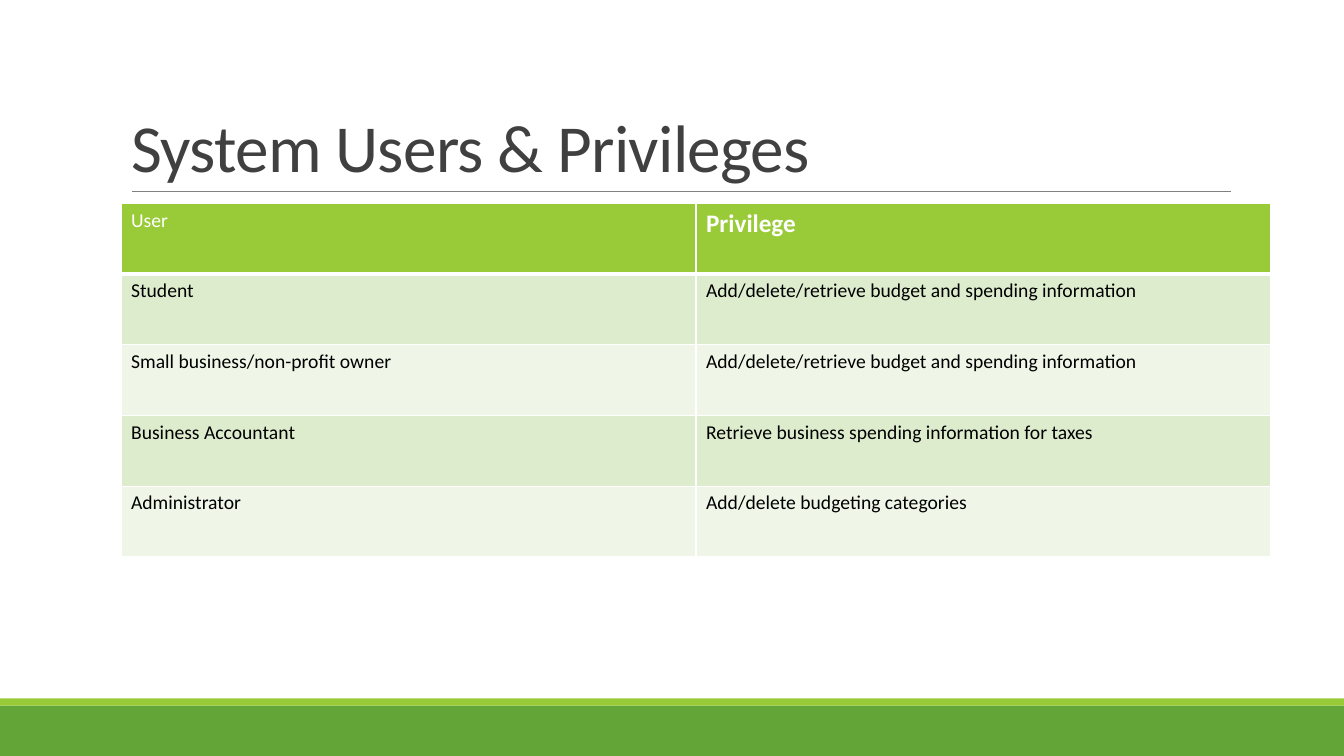
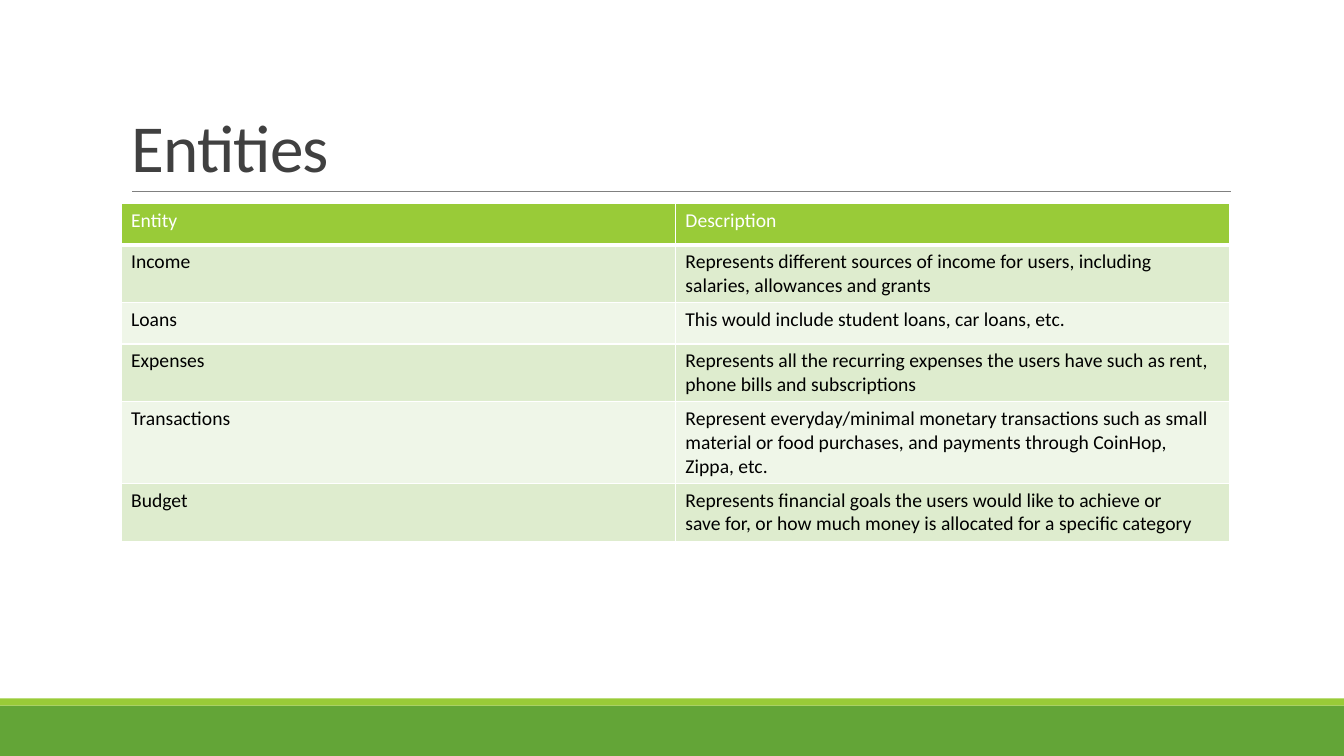
import pptx
import pptx.dml.color
import pptx.enum.shapes
import pptx.enum.text
import pptx.oxml
import pptx.oxml.ns
import pptx.util

Cm = pptx.util.Cm
Pt = pptx.util.Pt
RGBColor = pptx.dml.color.RGBColor

GREEN = RGBColor(0x63, 0xA5, 0x37)
LIME = RGBColor(0x99, 0xCB, 0x38)
BAND_DARK = RGBColor(0xDE, 0xEC, 0xCE)
BAND_LIGHT = RGBColor(0xEF, 0xF6, 0xE8)
WHITE = RGBColor(0xFF, 0xFF, 0xFF)
BLACK = RGBColor(0x00, 0x00, 0x00)
GREY = RGBColor(0x80, 0x80, 0x80)
TITLE_GREY = RGBColor(0x40, 0x40, 0x40)

FONT = "Calibri"
SLIDE_WIDTH, SLIDE_HEIGHT = Cm(33.87), Cm(19.05)
LEFT = Cm(3.05)
TITLE_BOX = {"left": LEFT, "top": Cm(0.79), "width": Cm(27.94), "height": Cm(4.04)}
TITLE_FONT = {"name": FONT, "size": Pt(48), "bold": False}
BODY_FONT = {"name": FONT, "size": Pt(14), "bold": False}
EMPHASIS_FONT = {"size": Pt(18), "bold": True}
FOOTER_BANDS = [(Cm(17.78), Cm(1.27), GREEN), (Cm(17.6), Cm(0.18), LIME)]

TABLES = [
    {
        "title": "System Users & Privileges",
        "column_width": Cm(14.49),
        "row_height": Cm(1.78),
        "emphasis": "Privilege",
        "rows": [
            ("User", "Privilege"),
            ("Student", "Add/delete/retrieve budget and spending information"),
            ("Small business/non-profit owner",
             "Add/delete/retrieve budget and spending information"),
            ("Business Accountant", "Retrieve business spending information for taxes"),
            ("Administrator", "Add/delete budgeting categories"),
        ],
    },
    {
        "title": "Entities",
        "column_width": Cm(13.97),
        "row_height": Cm(1.04),
        "emphasis": None,
        "rows": [
            ("Entity", "Description"),
            ("Income", "Represents different sources of income for users, including\n"
                       "salaries, allowances and grants"),
            ("Loans", "This would include student loans, car loans, etc."),
            ("Expenses", "Represents all the recurring expenses the users have such as "
                         "rent, phone bills and subscriptions"),
            ("Transactions", "Represent everyday/minimal monetary transactions such as "
                             "small material or food purchases, and payments through "
                             "CoinHop, Zippa, etc."),
            ("Budget", "Represents financial goals the users would like to achieve or\n"
                       "save for, or how much money is allocated for a specific category"),
        ],
    },
]


def set_format(target, values, color=None):
    """Set each named attribute on a font or shape, and the font colour if given."""
    for name, value in values.items():
        setattr(target, name, value)
    if color is not None:
        target.color.rgb = color


def set_borders(cell, widths):
    """Draw white cell borders; widths maps L, R, T, B (in that order) to lengths."""
    properties = cell._tc.get_or_add_tcPr()
    for index, (side, width) in enumerate(widths.items()):
        border = pptx.oxml.parse_xml(
            f'<a:ln{side} {pptx.oxml.ns.nsdecls("a")} w="{int(width)}">'
            f'<a:solidFill><a:srgbClr val="{WHITE}"/></a:solidFill></a:ln{side}>')
        properties.insert(index, border)


presentation = pptx.Presentation()
presentation.slide_width = SLIDE_WIDTH
presentation.slide_height = SLIDE_HEIGHT
title_only = presentation.slide_layouts[5]

for content in TABLES:
    slide = presentation.slides.add_slide(title_only)

    for top, height, color in FOOTER_BANDS:
        band = slide.shapes.add_shape(
            pptx.enum.shapes.MSO_SHAPE.RECTANGLE, 0, top, SLIDE_WIDTH, height)
        band.shadow.inherit = False
        band.fill.solid()
        band.fill.fore_color.rgb = color
        band.line.fill.background()

    rule = slide.shapes.add_connector(
        pptx.enum.shapes.MSO_CONNECTOR.STRAIGHT, Cm(3.33), Cm(4.83), Cm(31.01), Cm(4.83))
    rule.line.color.rgb = GREY
    rule.line.width = Pt(0.5)
    rule._element.spPr.append(
        pptx.oxml.parse_xml(f'<a:effectLst {pptx.oxml.ns.nsdecls("a")}/>'))

    title = slide.shapes.title
    set_format(title, TITLE_BOX)
    frame = title.text_frame
    frame.text = content["title"]
    frame.word_wrap = True
    frame.auto_size = pptx.enum.text.MSO_AUTO_SIZE.NONE
    frame.vertical_anchor = pptx.enum.text.MSO_ANCHOR.BOTTOM
    paragraph = frame.paragraphs[0]
    paragraph.alignment = pptx.enum.text.PP_ALIGN.LEFT
    paragraph.line_spacing = 0.85
    run = paragraph.runs[0]
    set_format(run.font, TITLE_FONT, TITLE_GREY)
    run._r.get_or_add_rPr().set("spc", "-50")

    rows = content["rows"]
    column_count = len(rows[0])
    table = slide.shapes.add_table(
        len(rows), column_count, LEFT, Cm(5.13),
        content["column_width"] * column_count, content["row_height"] * len(rows)).table

    for row_index, texts in enumerate(rows):
        is_header = row_index == 0
        if is_header:
            fill_color = LIME
        else:
            fill_color = BAND_DARK if row_index % 2 else BAND_LIGHT
        for column_index, text in enumerate(texts):
            cell = table.cell(row_index, column_index)
            cell.fill.solid()
            cell.fill.fore_color.rgb = fill_color
            set_borders(cell, {
                "L": Pt(1),
                "R": Pt(1),
                "T": Pt(3 if row_index == 1 else 1),
                "B": Pt(3 if is_header else 1),
            })
            cell.text_frame.text = text
            for paragraph in cell.text_frame.paragraphs:
                font = paragraph.runs[0].font
                set_format(font, BODY_FONT, WHITE if is_header else BLACK)
                if text == content["emphasis"]:
                    set_format(font, EMPHASIS_FONT)

presentation.save("out.pptx")
